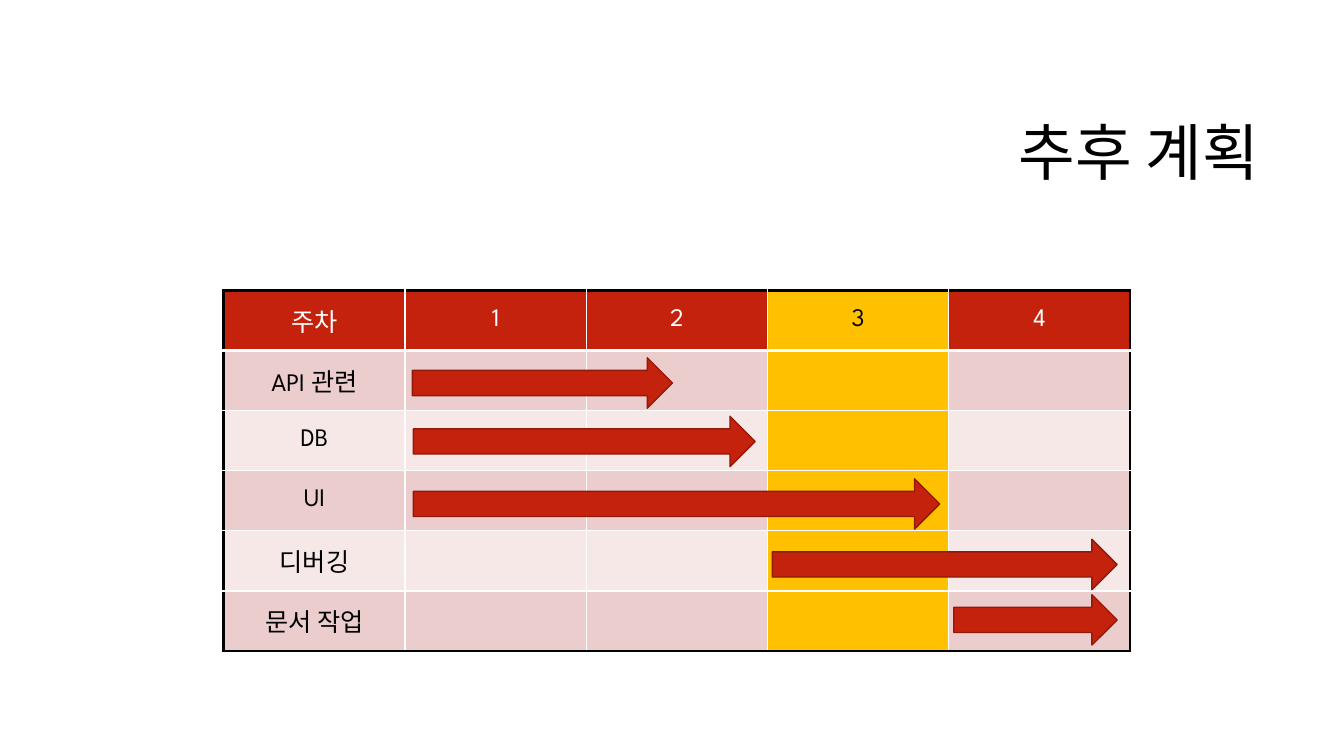
from typing import NamedTuple

from lxml import etree
from pptx import Presentation
from pptx import util as u
from pptx.dml.color import RGBColor
from pptx.enum import shapes, text
from pptx.oxml import ns

BLACK = RGBColor(0x00, 0x00, 0x00)
WHITE = RGBColor(0xFF, 0xFF, 0xFF)
RED = RGBColor(0xC4, 0x22, 0x0D)
DARK_RED = RGBColor(0x91, 0x19, 0x0A)
GOLD = RGBColor(0xFF, 0xC0, 0x00)
PINK = RGBColor(0xEA, 0xCD, 0xCC)
PALE_PINK = RGBColor(0xF5, 0xE8, 0xE7)

HANGUL_FONT = "Noto Sans CJK KR"
LATIN_FONT = "League Spartan"

WEEKS = ["주차", "1", "2", "3", "4"]
CURRENT_WEEK = 3
TABLE_LEFT, TABLE_TOP, TABLE_WIDTH, TABLE_HEIGHT = 2.22, 2.88, 8.99, 3.58
ARROW_HEIGHT = 0.5


class Task(NamedTuple):
    name: str
    left: float
    top: float
    width: float


class Border(NamedTuple):
    color: RGBColor
    points: float


TASKS = [
    Task("API 관련", 4.09, 3.55, 2.58),
    Task("DB", 4.1, 4.13, 3.39),
    Task("UI", 4.1, 4.75, 5.22),
    Task("디버깅", 7.66, 5.35, 3.42),
    Task("문서 작업", 9.46, 5.9, 1.62),
]

OUTLINE = Border(BLACK, 2.25)
GRID = Border(WHITE, 1)
HEADER_RULE = Border(WHITE, 3)


def write(frame, content: str, *, size: float, font: str, color: RGBColor,
          align=text.PP_ALIGN.CENTER, line_spacing: float = 1.0) -> None:
    paragraph = frame.paragraphs[0]
    paragraph.alignment = align
    paragraph.line_spacing = line_spacing
    run = paragraph.add_run()
    run.text = content
    run.font.size = u.Pt(size)
    run.font.name = font
    run.font.color.rgb = color
    east_asian = etree.SubElement(run.font._element, ns.qn("a:ea"))
    east_asian.set("typeface", HANGUL_FONT)


def set_borders(cell, **borders: Border) -> None:
    """Draw the cell's sides, given as L, R, T and B in that order."""
    properties = cell._tc.get_or_add_tcPr()
    for side, border in borders.items():
        line = etree.SubElement(properties, ns.qn(f"a:ln{side}"),
                                w=str(u.Pt(border.points)))
        fill = etree.SubElement(line, ns.qn("a:solidFill"))
        etree.SubElement(fill, ns.qn("a:srgbClr"), val=str(border.color))


def cell_fill(row: int, column: int) -> RGBColor:
    if column == CURRENT_WEEK:
        return GOLD
    if row == 0:
        return RED
    return PINK if row % 2 else PALE_PINK


def add_title(slide) -> None:
    title = slide.shapes.title
    title.left, title.top = u.Inches(3.17), u.Inches(0.84)
    title.width, title.height = u.Inches(9.42), u.Inches(1.41)
    title.text_frame.vertical_anchor = text.MSO_ANCHOR.MIDDLE
    write(title.text_frame, "추후 계획", size=44, font=HANGUL_FONT, color=BLACK,
          align=text.PP_ALIGN.RIGHT, line_spacing=0.9)


def add_schedule(slide) -> None:
    last_row, last_column = len(TASKS), len(WEEKS) - 1
    schedule = slide.shapes.add_table(
        last_row + 1, len(WEEKS), u.Inches(TABLE_LEFT), u.Inches(TABLE_TOP),
        u.Inches(TABLE_WIDTH), u.Inches(TABLE_HEIGHT)).table
    labels = [WEEKS] + [[task.name] + [""] * last_column for task in TASKS]
    for row, row_labels in enumerate(labels):
        for column, label in enumerate(row_labels):
            cell = schedule.cell(row, column)
            set_borders(
                cell,
                L=OUTLINE if column == 0 else GRID,
                R=OUTLINE if column == last_column else GRID,
                T=OUTLINE if row == 0 else HEADER_RULE if row == 1 else GRID,
                B=HEADER_RULE if row == 0 else OUTLINE if row == last_row else GRID)
            cell.fill.solid()
            cell.fill.fore_color.rgb = cell_fill(row, column)
            cell.vertical_anchor = text.MSO_ANCHOR.MIDDLE
            if label:
                on_red = row == 0 and column != CURRENT_WEEK
                write(cell.text_frame, label, size=18, font=LATIN_FONT,
                      color=WHITE if on_red else BLACK)


def add_duration(slide, task: Task) -> None:
    arrow = slide.shapes.add_shape(
        shapes.MSO_SHAPE.RIGHT_ARROW, u.Inches(task.left), u.Inches(task.top),
        u.Inches(task.width), u.Inches(ARROW_HEIGHT))
    arrow.shadow.inherit = False
    arrow.fill.solid()
    arrow.fill.fore_color.rgb = RED
    arrow.line.color.rgb = DARK_RED
    arrow.line.width = u.Pt(1)


def main() -> None:
    deck = Presentation()
    deck.slide_width, deck.slide_height = u.Inches(13.33), u.Inches(7.5)
    slide = deck.slides.add_slide(deck.slide_layouts.get_by_name("Title Only"))
    add_title(slide)
    add_schedule(slide)
    for task in TASKS:
        add_duration(slide, task)
    deck.save("out.pptx")


if __name__ == "__main__":
    main()
